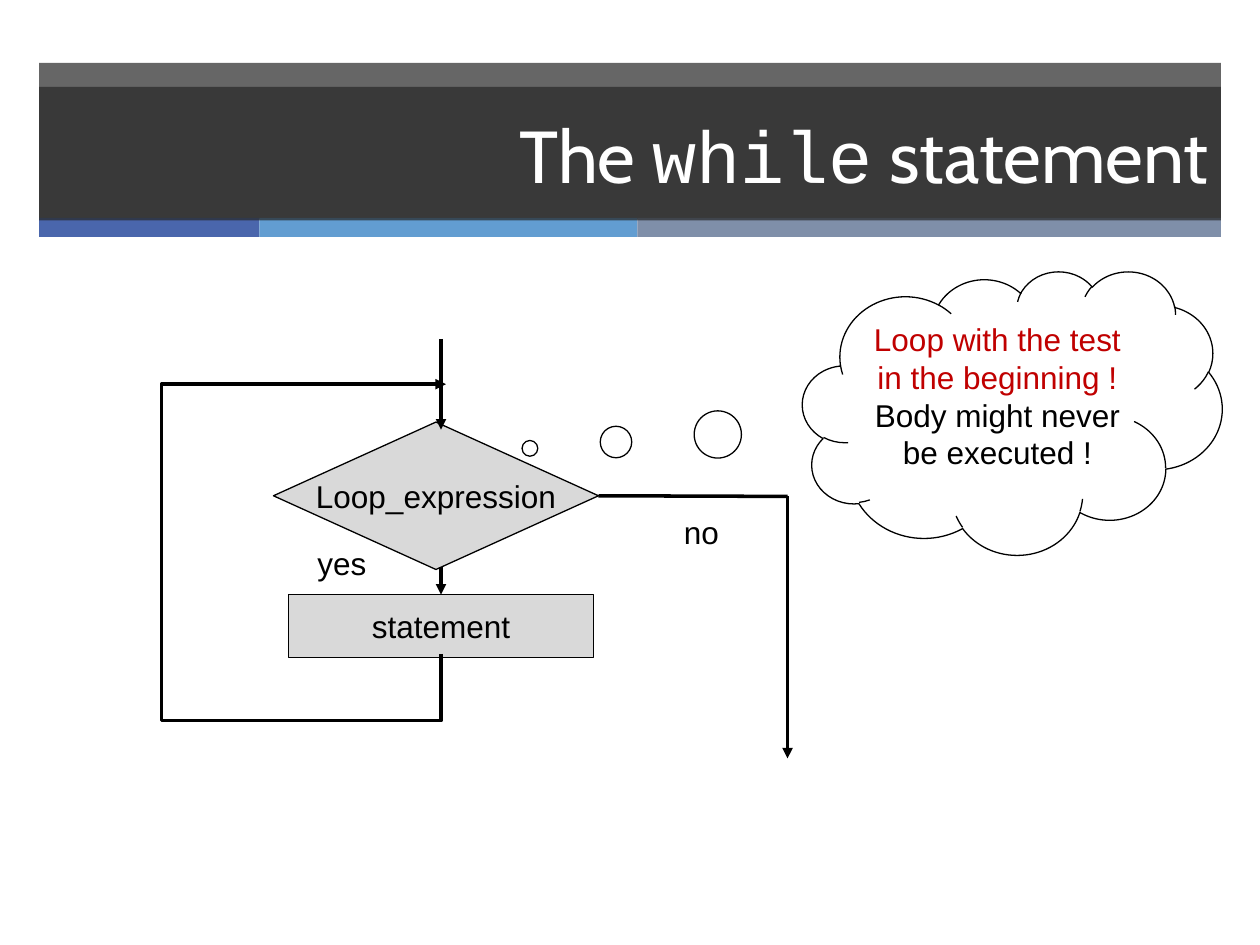
import pptx
import pptx.util
import pptx.dml.color
import pptx.enum.shapes
import pptx.enum.text
import pptx.oxml
import pptx.oxml.ns

Inches = pptx.util.Inches
Shape = pptx.enum.shapes.MSO_SHAPE
Connector = pptx.enum.shapes.MSO_CONNECTOR
Align = pptx.enum.text.PP_ALIGN
Anchor = pptx.enum.text.MSO_ANCHOR

COLORS = {
    "band": "262626", "blue": "4A66AC", "sky": "629DD1", "slate": "7F8FA9",
    "node": "D9D9D9", "black": "000000", "white": "FFFFFF", "red": "C00000",
}
BAND_LEFT, BAND_WIDTH = 0.31, 9.38
BANDS = [(0.5, 1.24), (0.69, 1.06)]
STRIPES = [(1.75, "blue"), (3, "sky"), (4.63, "slate")]
STRIPE_TOP, STRIPE_HEIGHT = 1.73, 0.15
TITLE = [("The ", "Cabin"), ("while", "Courier New"), (" statement", "Cabin")]
NODES = {
    "statement": (Shape.FLOWCHART_PROCESS, (2.29, 4.72, 2.42, 0.5)),
    "Loop_expression": (Shape.FLOWCHART_DECISION, (2.17, 3.35, 2.58, 1.17)),
}
LABELS = [("yes", (2.42, 4.27, 0.59, 0.4)), ("no", (5.33, 4.02, 0.48, 0.4))]
CLOUD_AT = (6.37, 2.15, 3.33, 2.25)
CLOUD_TAIL = (-1.15, 0.126)
CLOUD_TEXT = [
    ("Loop with the test in the beginning !", "red"),
    ("Body might never be executed !", "black"),
]
FLOW_X, EXIT_X, EXIT_Y = 3.5, 6.25, 3.94
LOOP = {"start": (3.5, 5.19), "end": (3.54, 3.05), "bottom": 5.72, "left": 1.29}


def rgb(name):
    return pptx.dml.color.RGBColor.from_string(COLORS[name])


def add_xml(parent, tag, **attributes):
    child = pptx.oxml.ns.qn(tag)
    element = parent.makeelement(child, attributes)
    parent.append(element)
    return element


def add_box(page, kind, at, fill=None, line=None, opacity=None):
    box = page.shapes.add_shape(kind, *map(Inches, at))
    box.shadow.inherit = False
    if fill:
        box.fill.solid()
        box.fill.fore_color.rgb = rgb(fill)
    else:
        box.fill.background()
    if opacity:
        color = box._element.spPr.find(".//" + pptx.oxml.ns.qn("a:srgbClr"))
        add_xml(color, "a:alpha", val=str(opacity * 1000))
    if line:
        box.line.color.rgb = rgb(line)
        box.line.width = pptx.util.Pt(0.75)
    else:
        box.line.fill.background()
    return box


def style(para, color="black", size=18, font="Arial", align=Align.CENTER):
    para.alignment = align
    for span in para.runs:
        span.font.size = pptx.util.Pt(size)
        span.font.name = font
        span.font.color.rgb = rgb(color)


def add_line(page, start, end, arrow=None, kind=Connector.STRAIGHT):
    line = page.shapes.add_connector(kind, *map(Inches, start + end))
    line.line.color.rgb = rgb("black")
    line.line.width = pptx.util.Pt(2)
    if arrow:
        add_xml(line.line._get_or_add_ln(), arrow, type="triangle")
    add_xml(line._element.spPr, "a:effectLst")
    return line


def add_loop(page):
    (start_x, start_y), (end_x, end_y) = LOOP["start"], LOOP["end"]
    length, offset = start_y - end_y, end_x - start_x
    middle_x, middle_y = (start_x + end_x) / 2, (start_y + end_y) / 2
    line = add_line(
        page,
        (middle_x + length / 2, middle_y + offset / 2),
        (middle_x - length / 2, middle_y - offset / 2),
        "a:tailEnd", Connector.ELBOW,
    )
    properties = line._element.spPr
    properties.find(pptx.oxml.ns.qn("a:xfrm")).set("rot", "5400000")
    geometry = properties.find(pptx.oxml.ns.qn("a:prstGeom"))
    geometry.set("prst", "bentConnector5")
    guides = geometry.find(pptx.oxml.ns.qn("a:avLst"))
    bends = [
        (start_y - LOOP["bottom"]) / length,
        (LOOP["left"] - start_x) / offset,
        1,
    ]
    for number, bend in enumerate(bends, 1):
        add_xml(guides, "a:gd", name=f"adj{number}", fmla=f"val {round(bend * 100000)}")


def add_header(page):
    top_band, title_band = [
        (BAND_LEFT, top, BAND_WIDTH, height) for top, height in BANDS
    ]
    add_box(page, Shape.RECTANGLE, top_band, "band", opacity=70)
    left = BAND_LEFT
    for width, color in STRIPES:
        add_box(page, Shape.RECTANGLE, (left, STRIPE_TOP, width, STRIPE_HEIGHT), color)
        left += width
    title = add_box(page, Shape.RECTANGLE, title_band, "band", opacity=70)
    title.text_frame.vertical_anchor = Anchor.MIDDLE
    para = title.text_frame.paragraphs[0]
    for text, _ in TITLE:
        para.add_run().text = text
    style(para, "white", 42, align=Align.RIGHT)
    for span, (_, font) in zip(para.runs, TITLE):
        span.font.name = font


def add_flowchart(page):
    nodes = {}
    for text, (kind, at) in NODES.items():
        node = nodes[text] = add_box(page, kind, at, "node", "black")
        node.text_frame.text = text
        node.text_frame.word_wrap = False
        node.text_frame.vertical_anchor = Anchor.MIDDLE
        style(node.text_frame.paragraphs[0])
    for text, at in LABELS:
        label = page.shapes.add_textbox(*map(Inches, at))
        label.text_frame.text = text
        label.text_frame.word_wrap = False
        style(label.text_frame.paragraphs[0], align=Align.LEFT)
    add_line(page, (FLOW_X, 2.69), (FLOW_X, 3.41), "a:tailEnd")
    body = add_line(page, (FLOW_X, 4.5), (FLOW_X, 4.72), "a:tailEnd")
    body.end_connect(nodes["statement"], 0)
    leave = add_line(page, (4.75, EXIT_Y), (EXIT_X, EXIT_Y))
    leave.begin_connect(nodes["Loop_expression"], 3)
    add_line(page, (EXIT_X, EXIT_Y), (EXIT_X, 6.02), "a:tailEnd")
    add_loop(page)


def add_cloud(page):
    cloud = add_box(page, Shape.CLOUD_CALLOUT, CLOUD_AT, line="black")
    for index, value in enumerate(CLOUD_TAIL):
        cloud.adjustments[index] = value
    frame = cloud.text_frame
    frame.text = "\n".join(text for text, _ in CLOUD_TEXT)
    frame.word_wrap = True
    frame.vertical_anchor = Anchor.TOP
    for para, (_, color) in zip(frame.paragraphs, CLOUD_TEXT):
        style(para, color)


def main():
    deck = pptx.Presentation()
    deck.slide_width, deck.slide_height = Inches(10), Inches(7.5)
    page = deck.slides.add_slide(deck.slide_layouts[6])
    add_header(page)
    add_flowchart(page)
    add_cloud(page)
    deck.save("out.pptx")


if __name__ == "__main__":
    main()
